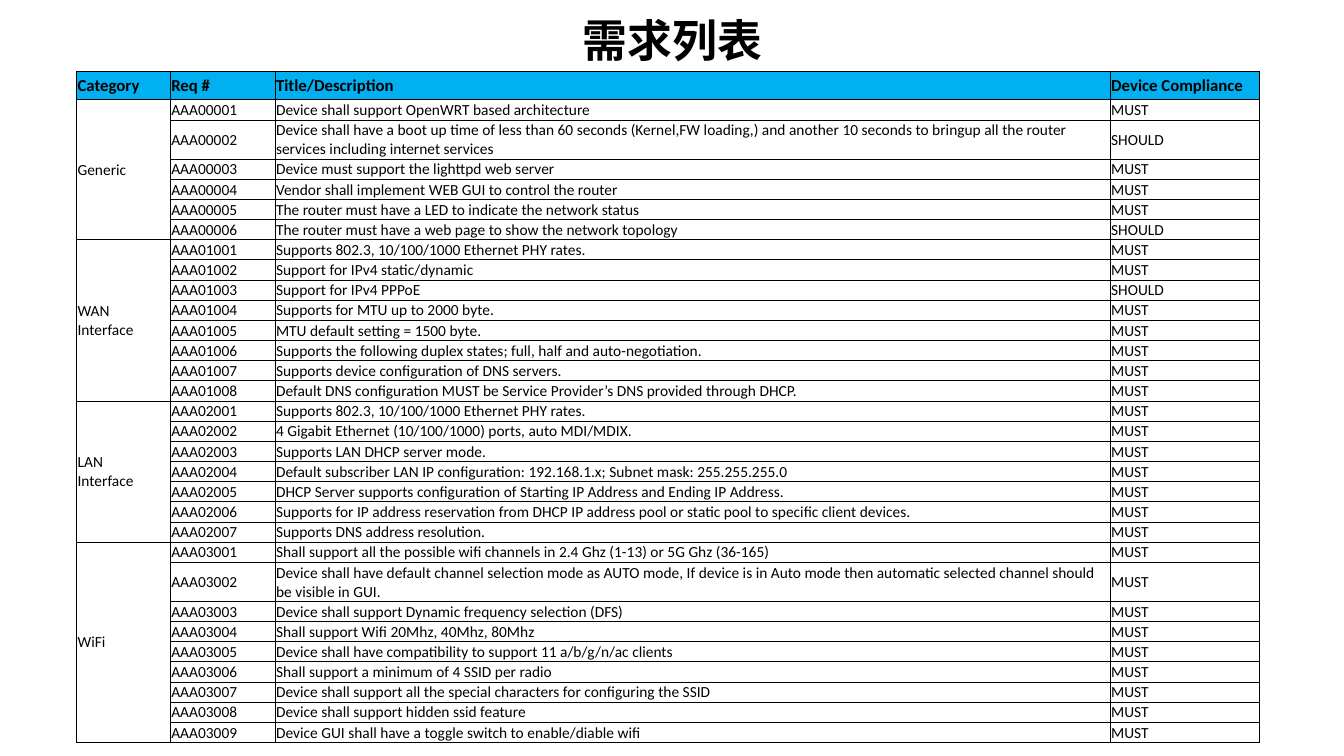
import pptx
import pptx.dml.color
import pptx.enum.text
import pptx.oxml
import pptx.oxml.ns
import pptx.util

RGBColor = pptx.dml.color.RGBColor
Inches = pptx.util.Inches
BLACK = RGBColor(0x00, 0x00, 0x00)
HEADER_BLUE = RGBColor(0x00, 0xB0, 0xF0)

FONT = "Calibri"
BORDER_PT = 0.5
COLUMN_WIDTHS = (0.93, 1.04, 8.29, 1.48)
HEADER_HEIGHT, LINE_HEIGHT, TWO_LINE_HEIGHT = 0.28, 0.2, 0.38
WRAP_LENGTH = 130

HEADINGS = ("Category", "Req #", "Title/Description", "Device Compliance")
REQUIREMENTS = {
    "Generic": (
        "Device shall support OpenWRT based architecture",
        "Device shall have a boot up time of less than 60 seconds (Kernel,FW loading,) "
        "and another 10 seconds to bringup all the router services including internet services",
        "Device must support the lighttpd web server",
        "Vendor shall implement WEB GUI to control the router",
        "The router must have a LED to indicate the network status",
        "The router must have a web page to show the network topology",
    ),
    "WAN\nInterface": (
        "Supports 802.3, 10/100/1000 Ethernet PHY rates.",
        "Support for IPv4 static/dynamic",
        "Support for IPv4 PPPoE",
        "Supports for MTU up to 2000 byte.",
        "MTU default setting = 1500 byte.",
        "Supports the following duplex states; full, half and auto-negotiation.",
        "Supports device configuration of DNS servers.",
        "Default DNS configuration MUST be Service Provider’s DNS provided through DHCP.",
    ),
    "LAN\nInterface": (
        "Supports 802.3, 10/100/1000 Ethernet PHY rates.",
        "4 Gigabit Ethernet (10/100/1000) ports, auto MDI/MDIX.",
        "Supports LAN DHCP server mode.",
        "Default subscriber LAN IP configuration: 192.168.1.x; Subnet mask: 255.255.255.0",
        "DHCP Server supports configuration of Starting IP Address and Ending IP Address.",
        "Supports for IP address reservation from DHCP IP address pool or static pool "
        "to specific client devices.",
        "Supports DNS address resolution.",
    ),
    "WiFi": (
        "Shall support all the possible wifi channels in 2.4 Ghz (1-13) or 5G Ghz (36-165)",
        "Device shall have default channel selection mode as AUTO mode, If device is in Auto "
        "mode then automatic selected channel should be visible in GUI.",
        "Device shall support Dynamic frequency selection (DFS)",
        "Shall support Wifi 20Mhz, 40Mhz, 80Mhz",
        "Device shall have compatibility to support 11 a/b/g/n/ac clients",
        "Shall support a minimum of 4 SSID per radio",
        "Device shall support all the special characters for configuring the SSID",
        "Device shall support hidden ssid feature",
        "Device GUI shall have a toggle switch to enable/diable wifi",
    ),
}
RECOMMENDED = {"AAA00002", "AAA00006", "AAA01003"}


def write(frame, text, size=11, bold=False, align=pptx.enum.text.PP_ALIGN.LEFT):
    frame.text = text
    frame.word_wrap = True
    for paragraph in frame.paragraphs:
        paragraph.alignment = align
        for run in paragraph.runs:
            run.font.name = FONT
            run.font.size = pptx.util.Pt(size)
            run.font.bold = bold
            run.font.color.rgb = BLACK


def add_borders(cell):
    properties = cell._tc.get_or_add_tcPr()
    for side in ("lnL", "lnR", "lnT", "lnB"):
        properties.append(pptx.oxml.parse_xml(
            f'<a:{side} {pptx.oxml.ns.nsdecls("a")} w="{pptx.util.Pt(BORDER_PT)}">'
            f'<a:solidFill><a:srgbClr val="{BLACK}"/></a:solidFill></a:{side}>'))


def format_cell(cell, fill=None):
    add_borders(cell)
    if fill is None:
        cell.fill.background()
    else:
        cell.fill.solid()
        cell.fill.fore_color.rgb = fill
    cell.margin_left = cell.margin_right = cell.margin_top = Inches(0.01)
    cell.margin_bottom = 0
    cell.vertical_anchor = pptx.enum.text.MSO_ANCHOR.MIDDLE


def place_title(slide, left, top, width, height):
    title = slide.shapes.title
    title.left, title.top = Inches(left), Inches(top)
    title.width, title.height = Inches(width), Inches(height)
    title.text_frame.vertical_anchor = pptx.enum.text.MSO_ANCHOR.MIDDLE
    write(title.text_frame, "需求列表", size=32, bold=True,
          align=pptx.enum.text.PP_ALIGN.CENTER)


def fill_group(table, first_row, group, category, descriptions):
    """Fill one category's rows and merge its first column."""
    for offset, description in enumerate(descriptions):
        row = first_row + offset
        number = f"AAA{group:02}{offset + 1:03}"
        compliance = "SHOULD" if number in RECOMMENDED else "MUST"
        wraps = len(description) > WRAP_LENGTH
        table.rows[row].height = Inches(TWO_LINE_HEIGHT if wraps else LINE_HEIGHT)
        format_cell(table.cell(row, 0))
        for column, text in enumerate((number, description, compliance), start=1):
            format_cell(table.cell(row, column))
            write(table.cell(row, column).text_frame, text)
    top_cell = table.cell(first_row, 0)
    top_cell.merge(table.cell(first_row + len(descriptions) - 1, 0))
    write(top_cell.text_frame, category)


def add_requirements(slide, left, top, width, height):
    row_count = 1 + sum(map(len, REQUIREMENTS.values()))
    table = slide.shapes.add_table(row_count, len(HEADINGS), Inches(left), Inches(top),
                                   Inches(width), Inches(height)).table
    table.horz_banding = False
    table.rows[0].height = Inches(HEADER_HEIGHT)
    for column, (heading, share) in enumerate(zip(HEADINGS, COLUMN_WIDTHS)):
        table.columns[column].width = Inches(width * share / sum(COLUMN_WIDTHS))
        format_cell(table.cell(0, column), HEADER_BLUE)
        write(table.cell(0, column).text_frame, heading, size=12, bold=True)
    first_row = 1
    for group, (category, descriptions) in enumerate(REQUIREMENTS.items()):
        fill_group(table, first_row, group, category, descriptions)
        first_row += len(descriptions)


def main():
    deck = pptx.Presentation()
    deck.slide_width, deck.slide_height = Inches(13.33), Inches(7.5)
    slide = deck.slides.add_slide(deck.slide_layouts[5])
    place_title(slide, 0.67, 0.05, 12, 0.69)
    add_requirements(slide, 0.76, 0.71, 11.73, 6.63)
    deck.save("out.pptx")


if __name__ == "__main__":
    main()
